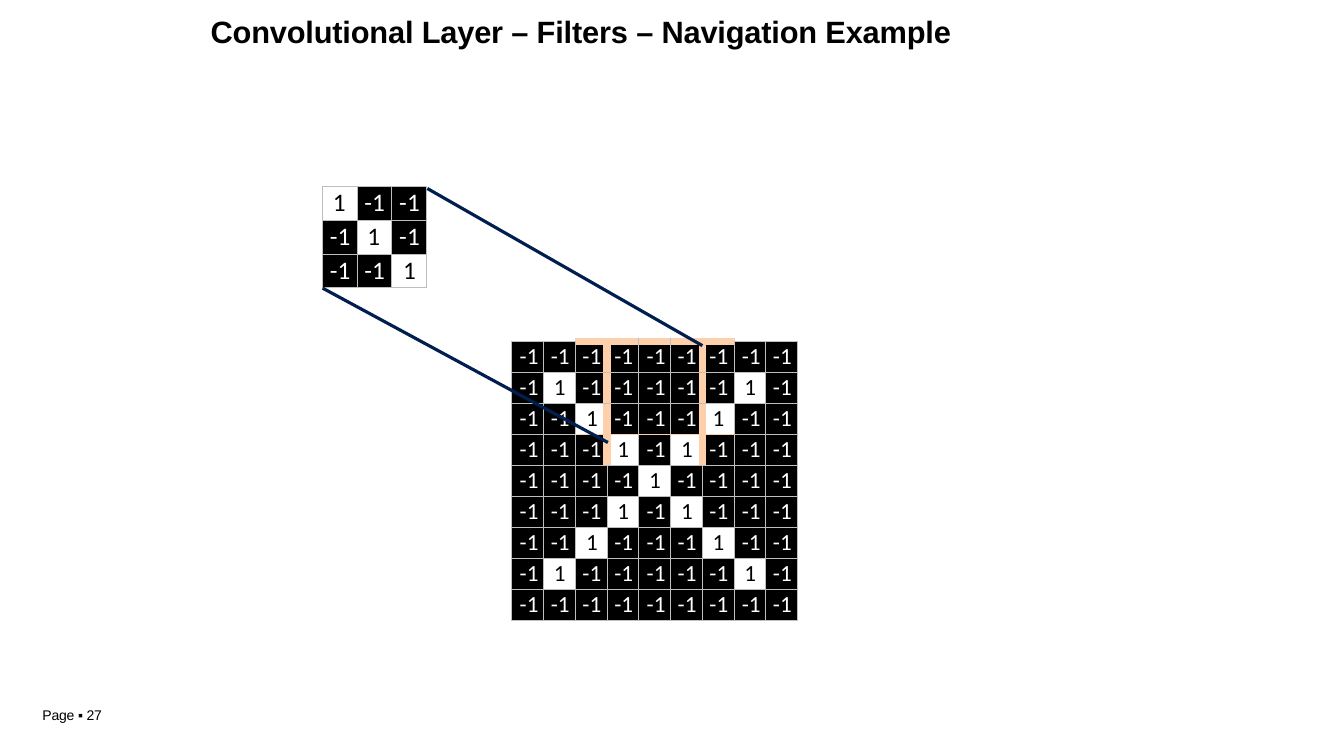
"""Build the slide on convolutional filters with a navigation example."""
import lxml.etree
import pptx
import pptx.dml.color
import pptx.enum.shapes
import pptx.enum.text
import pptx.oxml.ns
import pptx.util

Cm = pptx.util.Cm
Pt = pptx.util.Pt
qn = pptx.oxml.ns.qn

BLACK, WHITE, GREY, ORANGE, NAVY = "000000", "FFFFFF", "BEBEBE", "FDCFAA", "001F50"
NO_TABLE_STYLE = "{2D5ABB26-0587-4C30-8999-92F81FD0307C}"
ALIGNMENTS = {
    "l": pptx.enum.text.PP_ALIGN.LEFT,
    "c": pptx.enum.text.PP_ALIGN.CENTER,
    "r": pptx.enum.text.PP_ALIGN.RIGHT,
}
FILTER = {"left": 8.13, "top": 4.7, "width": 0.87, "height": 0.85, "size": 18, "columns": "llc"}
IMAGE = {"left": 12.9, "top": 8.61, "width": 0.8, "height": 0.78, "size": 16.5, "columns": "rlclrclrc"}
MARGINS = {"margin_left": 0, "margin_right": 0, "margin_top": Cm(0.03), "margin_bottom": 0}


def color(value):
    """Return the colour for a hex string."""
    return pptx.dml.color.RGBColor.from_string(value)


def set_values(target, values):
    """Set each named attribute on the target."""
    for name, value in values.items():
        setattr(target, name, value)


def write_text(frame, text, text_color, spacing, font, paragraph_values, indents):
    """Write one formatted paragraph into a text frame."""
    paragraph = frame.paragraphs[0]
    set_values(paragraph, paragraph_values)
    properties = paragraph._p.get_or_add_pPr()
    for name, length in indents.items():
        properties.set(name, str(Cm(length)))
    run = paragraph.add_run()
    run.text = text
    set_values(run.font, font)
    run.font.color.rgb = color(text_color)
    run._r.get_or_add_rPr().set("spc", str(spacing))


def add_text(slide, position, text, size, bold, top_margin, space_before):
    """Add a text box holding one line of Arial text."""
    shape = slide.shapes.add_textbox(*map(Cm, position))
    frame = shape.text_frame
    set_values(frame, {**MARGINS, "margin_top": Cm(top_margin), "word_wrap": True})
    font = {"name": "Arial", "size": Pt(size), "bold": bold}
    write_text(frame, text, BLACK, -10, font, {"space_before": Pt(space_before)}, {"marL": 0.03})


def set_border(cell, side, line_color, width):
    """Draw one solid border of a table cell."""
    properties = cell._tc.get_or_add_tcPr()
    line = lxml.etree.SubElement(properties, qn(f"a:ln{side}"), w=str(Pt(width)))
    fill = lxml.etree.SubElement(line, qn("a:solidFill"))
    lxml.etree.SubElement(fill, qn("a:srgbClr"), val=line_color)


def plain_borders(row, column):
    """Return no special borders."""
    return {}


def window_borders(row, column):
    """Return the borders that mark the filter window on the image."""
    borders = {}
    if row < 4 and column in (3, 6):
        borders["L"] = (ORANGE, 6)
    if row < 4 and column in (2, 5):
        borders["R"] = (ORANGE, 6)
    if 2 <= column <= 6:
        if row == 0:
            borders["T"] = (ORANGE, 6)
        if row == 2:
            borders["B"] = (ORANGE, 0.75)
        if row == 3:
            borders["T"] = (ORANGE, 0.75)
    return borders


def on_diagonal(row, column):
    """Tell whether the filter is positive at a cell."""
    return row == column


def on_cross(row, column):
    """Tell whether the image is positive at a cell."""
    return 0 < row < 8 and (row == column or row + column == 8)


def add_matrix(slide, grid, is_positive, special_borders):
    """Add a square table of 1 and -1 values."""
    count = len(grid["columns"])
    position = (grid["left"], grid["top"], count * grid["width"], count * grid["height"])
    graphic_frame = slide.shapes.add_table(count, count, *map(Cm, position))
    table = graphic_frame.table
    set_values(table, {"first_row": False, "horz_banding": False})
    table._tbl.tblPr.find(qn("a:tableStyleId")).text = NO_TABLE_STYLE
    for column in table.columns:
        column.width = Cm(grid["width"])
    for row in table.rows:
        row.height = Cm(grid["height"])
    for row in range(count):
        for column, alignment in enumerate(grid["columns"]):
            cell = table.cell(row, column)
            positive = is_positive(row, column)
            set_values(cell, MARGINS)
            special = special_borders(row, column)
            for side in "LRTB":
                set_border(cell, side, *special.get(side, (GREY, 0.75)))
            if positive:
                cell.fill.background()
            else:
                cell.fill.solid()
                cell.fill.fore_color.rgb = color(BLACK)
            indents = {
                "l": {"marL": 0.26 if positive else 0.18},
                "c": {"marL": 0.03},
                "r": {"marR": 0.25 if positive else 0.13},
            }[alignment]
            write_text(
                cell.text_frame,
                "1" if positive else "-1",
                BLACK if positive else WHITE,
                0 if positive else 10,
                {"name": "Calibri", "size": Pt(grid["size"])},
                {"alignment": ALIGNMENTS[alignment], "space_before": Pt(0.7)},
                indents,
            )


def add_white_cells(slide, grid, cells):
    """Add one white outline covering the given cells of a grid."""
    builder = None
    for row, column in cells:
        left, right = (Cm(grid["left"] + n * grid["width"]) for n in (column, column + 1))
        top, bottom = (Cm(grid["top"] + n * grid["height"]) for n in (row, row + 1))
        if builder is None:
            builder = slide.shapes.build_freeform(right, top)
        else:
            builder.move_to(right, top)
        builder.add_line_segments([(left, top), (left, bottom), (right, bottom)], close=True)
    shape = builder.convert_to_shape()
    shape.shadow.inherit = False
    shape.fill.solid()
    shape.fill.fore_color.rgb = color(WHITE)
    shape.line.fill.background()


def add_line(slide, *ends):
    """Add a navy line between two points."""
    straight = pptx.enum.shapes.MSO_CONNECTOR.STRAIGHT
    connector = slide.shapes.add_connector(straight, *map(Cm, ends))
    connector.line.width = Pt(2.28)
    connector.line.color.rgb = color(NAVY)
    lxml.etree.SubElement(connector._element.spPr, qn("a:effectLst"))


def main():
    """Create the presentation and save it."""
    presentation = pptx.Presentation()
    set_values(presentation, {"slide_width": Cm(33.87), "slide_height": Cm(19.05)})
    slide = presentation.slides.add_slide(presentation.slide_layouts[6])
    add_matrix(slide, FILTER, on_diagonal, plain_borders)
    for cells in [((2, 2), (3, 3)), ((6, 2), (5, 3)), ((6, 6), (7, 7))]:
        add_white_cells(slide, IMAGE, cells)
    add_matrix(slide, IMAGE, on_cross, window_borders)
    add_line(slide, 17.7, 8.71, 10.77, 4.75)
    add_line(slide, 15.32, 11.15, 8.13, 7.26)
    title = "Convolutional Layer – Filters – Navigation Example"
    add_text(slide, (5.28, 0.3, 19, 0.97), title, 22, True, 0.03, 0)
    add_text(slide, (1.04, 17.81, 1.7, 0.43), "Page ▪ 27", 10, False, 0, 0)
    presentation.save("out.pptx")


if __name__ == "__main__":
    main()
